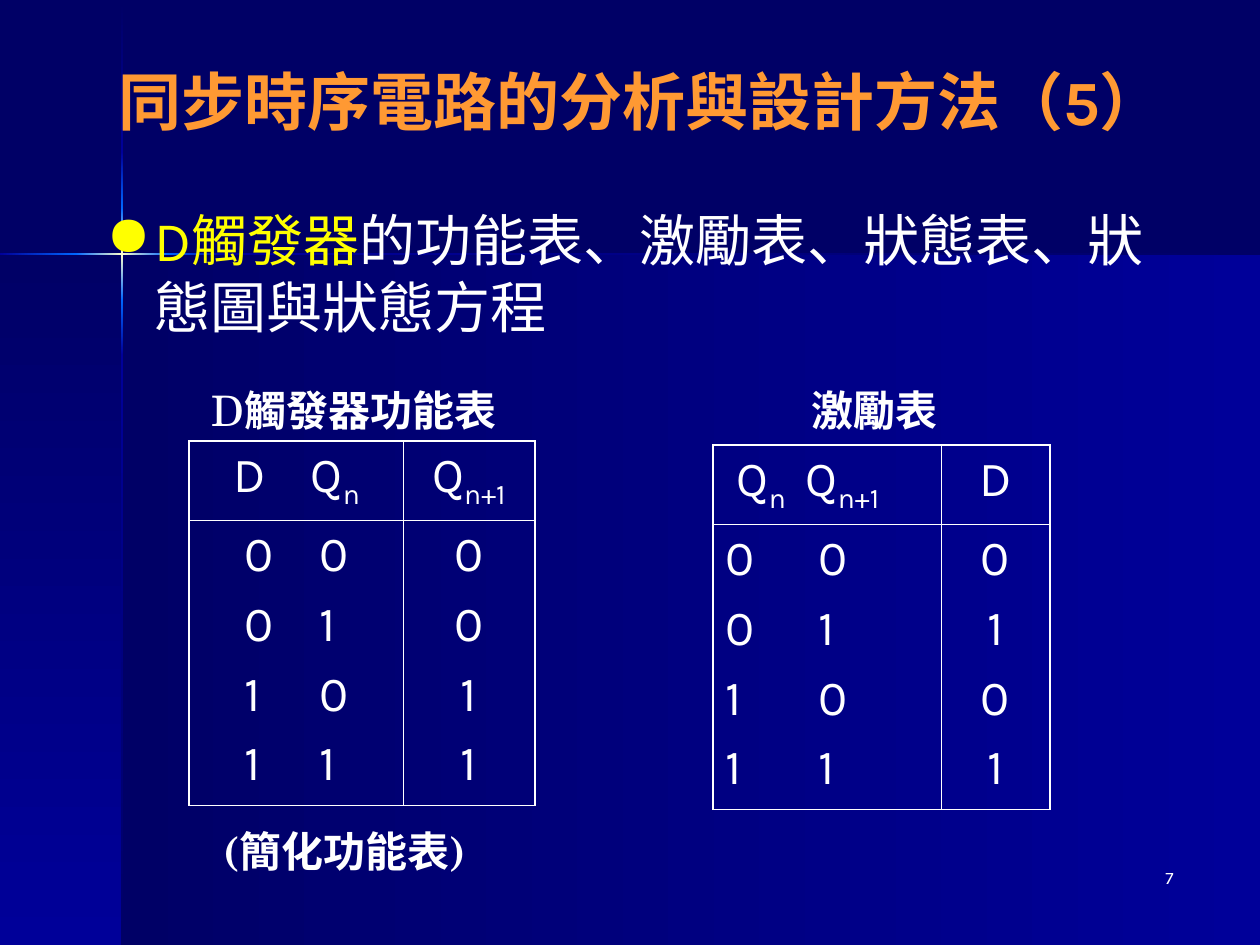
import copy

import pptx
import pptx.dml.color
import pptx.enum.shapes
import pptx.enum.text
import pptx.oxml
import pptx.oxml.ns
import pptx.util

EMU_PER_PX = 914400 / 126
COLORS = {"night": "000066", "navy": "000099", "blue": "0066FF", "cream": "FFFFCC",
          "orange": "FF9933", "yellow": "FFFF00", "white": "FFFFFF"}
SANS, SERIF = "Karla", "TeX Gyre Schola"
LEFT, CENTER, RIGHT = (pptx.enum.text.PP_ALIGN.LEFT, pptx.enum.text.PP_ALIGN.CENTER,
                       pptx.enum.text.PP_ALIGN.RIGHT)
ACROSS, DOWN = 0, 270

TITLE = "同步時序電路的分析與設計方法（5）"
BULLET = [("D觸發器", {"color": "yellow"}), ("的功能表、激勵表、狀態表、狀態圖與狀態方程", {})]
SUB = {"sub": True}
BOLD = {"bold": True}

BACKDROP = [
    ((122, 255, 1138, 690), ACROSS, ["night", "navy"]),
    ((0, 255, 122, 690), DOWN, ["night", "navy"]),
    ((121, 1, 2, 151), DOWN, ["night", "navy"]),
    ((121, 355, 2, 590), DOWN, ["navy", "night"]),
    ((223, 253, 1037, 2), ACROSS, ["navy", "night"]),
    ((121, 300, 2, 55), DOWN, ["blue", "navy"]),
    ((121, 152, 2, 56), DOWN, ["navy", "blue"]),
    ((121, 208, 2, 92), DOWN, ["blue", "cream", "blue"]),
    ((0, 253, 76, 2), ACROSS, ["navy", "blue"]),
    ((168, 253, 55, 2), ACROSS, ["blue", "navy"]),
    ((76, 253, 92, 2), ACROSS, ["blue", "cream", "blue"]),
]

CAPTIONS = [
    ((199, 378, 325, 63), [("D", {}), ("觸發器功能表", BOLD)], 0),
    ((199, 819, 287, 113), [("(簡化功能表)", BOLD)], 12),
    ((799, 378, 188, 63), [("激勵表", BOLD)], 0),
]

TABLES = [
    {"at": (189, 441), "columns": (214, 132), "margins": (45, 56), "tabs": (77, 75),
     "header": ([("D\tQ", {}), ("n", SUB)], [("Q", {}), ("n+1", SUB)]),
     "inputs": ["0\t0", "0\t1", "1\t0", "1\t1"], "outputs": "0011"},
    {"at": (713, 445), "columns": (228, 109), "margins": (24, 13), "tabs": (69, 92),
     "header": ([("Q", {}), ("n\t", SUB), ("Q", {}), ("n+1", SUB)], [("D", {})]),
     "inputs": ["0\t0", "0\t1", "1\t0", "1\t1"], "outputs": "0101"},
]
ROW_HEIGHTS = (79, 285)


def px(length):
    return round(length * EMU_PER_PX)


def rgb(name):
    return pptx.dml.color.RGBColor.from_string(COLORS[name])


def element(tag, content="", attributes=""):
    return pptx.oxml.parse_xml(
        f'<a:{tag} {pptx.oxml.ns.nsdecls("a")} {attributes}>{content}</a:{tag}>')


def write(para, spans, size, font, align=LEFT):
    para.alignment = align
    for text, style in spans:
        span = para.add_run()
        span.text = text
        span.font.size = pptx.util.Pt(size)
        span.font.name = font
        span.font.bold = style.get("bold", False)
        span.font.color.rgb = rgb(style.get("color", "white"))
        if style.get("sub"):
            span.font._element.set("baseline", "-25000")


def add_text(page, place, spans, size, font, align=LEFT):
    box = page.shapes.add_textbox(*map(px, place))
    box.text_frame.word_wrap = True
    para = box.text_frame.paragraphs[0]
    write(para, spans, size, font, align)
    return para


def add_band(page, place, angle, colors):
    band = page.shapes.add_shape(pptx.enum.shapes.MSO_SHAPE.RECTANGLE, *map(px, place))
    band.shadow.inherit = False
    band.line.fill.background()
    band.fill.gradient()
    band.fill.gradient_angle = angle
    stop_list = band._element.xpath(".//a:gsLst")[0]
    while len(stop_list) < len(colors):
        stop_list.append(copy.deepcopy(stop_list[0]))
    for index, (stop, color) in enumerate(zip(band.fill.gradient_stops, colors)):
        stop.position = index / (len(colors) - 1)
        stop.color.rgb = rgb(color)


def add_borders(cell, row, column):
    cell.fill.background()
    outer = {"L": column == 0, "R": column == 1, "T": row == 0, "B": row == 1}
    paint = f'<a:solidFill><a:srgbClr val="{COLORS["white"]}"/></a:solidFill>'
    for index, (side, thick) in enumerate(outer.items()):
        width = pptx.util.Pt(1.08 if thick else 0.45)
        cell._tc.get_or_add_tcPr().insert(index, element(f"ln{side}", paint, f'w="{width}"'))


def add_truth_table(page, data):
    size = sum(data["columns"]), sum(ROW_HEIGHTS)
    table = page.shapes.add_table(2, 2, *map(px, data["at"] + size)).table
    table.first_row = table.horz_banding = False
    for column, width in zip(table.columns, data["columns"]):
        column.width = px(width)
    body = [[[(text, {})] for text in texts] for texts in (data["inputs"], data["outputs"])]
    contents = [[[spans] for spans in data["header"]], body]
    for r, height in enumerate(ROW_HEIGHTS):
        table.rows[r].height = px(height)
        for c, lines in enumerate(contents[r]):
            cell = table.cell(r, c)
            add_borders(cell, r, c)
            if c == 0:
                cell.margin_left = px(data["margins"][r])
            for index, spans in enumerate(lines):
                frame = cell.text_frame
                para = frame.add_paragraph() if index else frame.paragraphs[0]
                if index:
                    para.space_before = pptx.util.Pt(7)
                if c == 0:
                    tab = f'<a:tab pos="{px(data["tabs"][r])}" algn="l"/>'
                    para._p.get_or_add_pPr().append(element("tabLst", tab))
                write(para, spans, 28, SANS, CENTER if c else LEFT)


def main():
    deck = pptx.Presentation()
    deck.slide_width, deck.slide_height = px(1260), px(945)
    page = deck.slides.add_slide(deck.slide_layouts[5])
    page.background.fill.solid()
    page.background.fill.fore_color.rgb = rgb("night")
    for band in BACKDROP:
        add_band(page, *band)

    title = page.shapes.title
    page.shapes._spTree.append(title._element)
    title.left, title.top, title.width, title.height = map(px, (42, 42, 1197, 116))
    title.text_frame.vertical_anchor = pptx.enum.text.MSO_ANCHOR.MIDDLE
    write(title.text_frame.paragraphs[0], [(TITLE, {"bold": True, "color": "orange"})],
          36, SANS, CENTER)

    bullet = add_text(page, (94, 199, 1092, 160), BULLET, 32, SANS)
    properties = bullet._p.get_or_add_pPr()
    properties.set("marL", str(px(48)))
    properties.set("indent", str(px(-48)))
    properties.append(element("buClr", f'<a:srgbClr val="{COLORS["yellow"]}"/>'))
    properties.append(element("buChar", attributes='char="●"'))

    for data in TABLES:
        add_truth_table(page, data)
    for place, spans, indent in CAPTIONS:
        caption = add_text(page, place, spans, 24, SERIF)
        caption._p.get_or_add_pPr().set("indent", str(px(indent)))
    add_text(page, (924, 861, 262, 63), [("7", {})], 10, SANS, RIGHT)
    deck.save("out.pptx")


if __name__ == "__main__":
    main()
